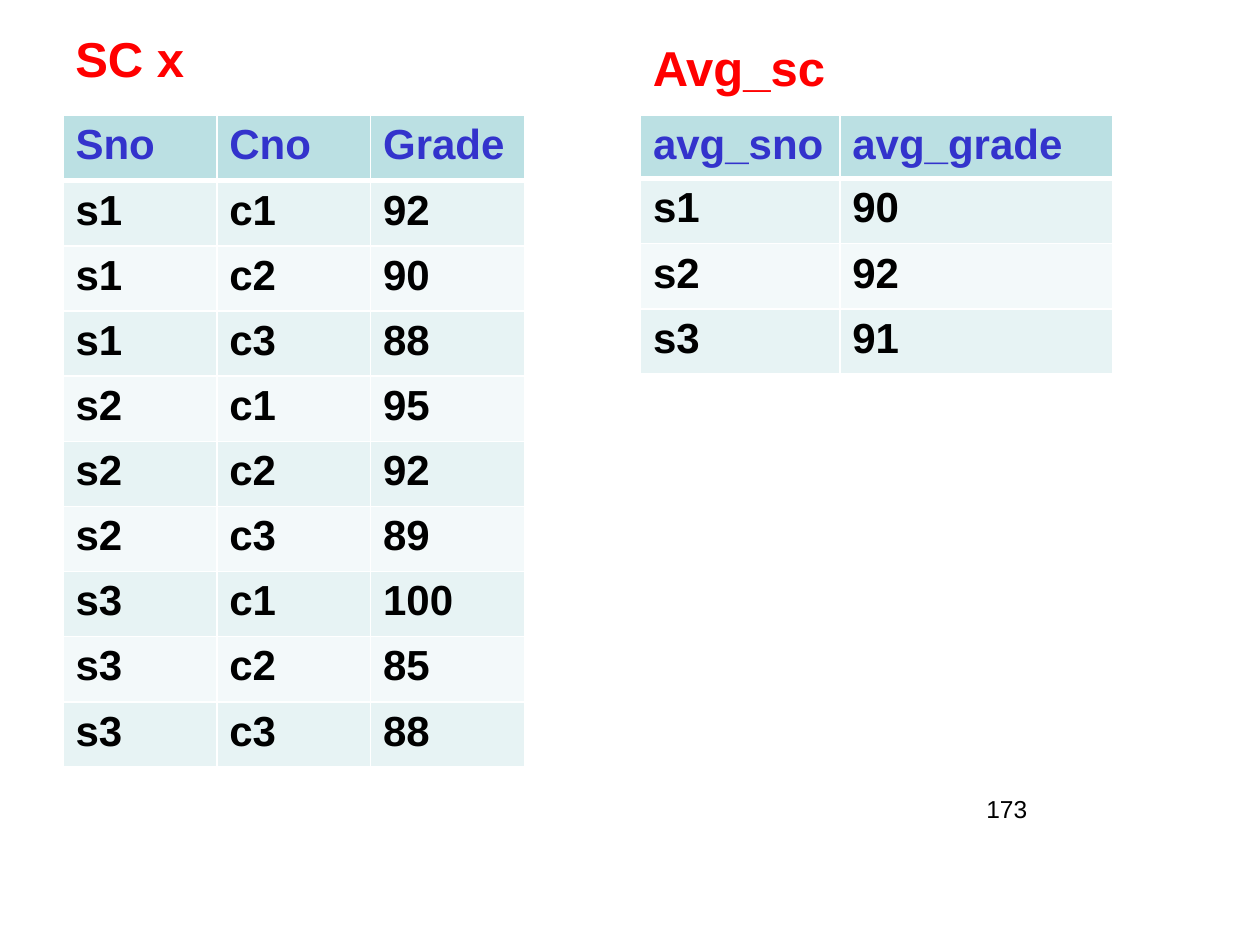
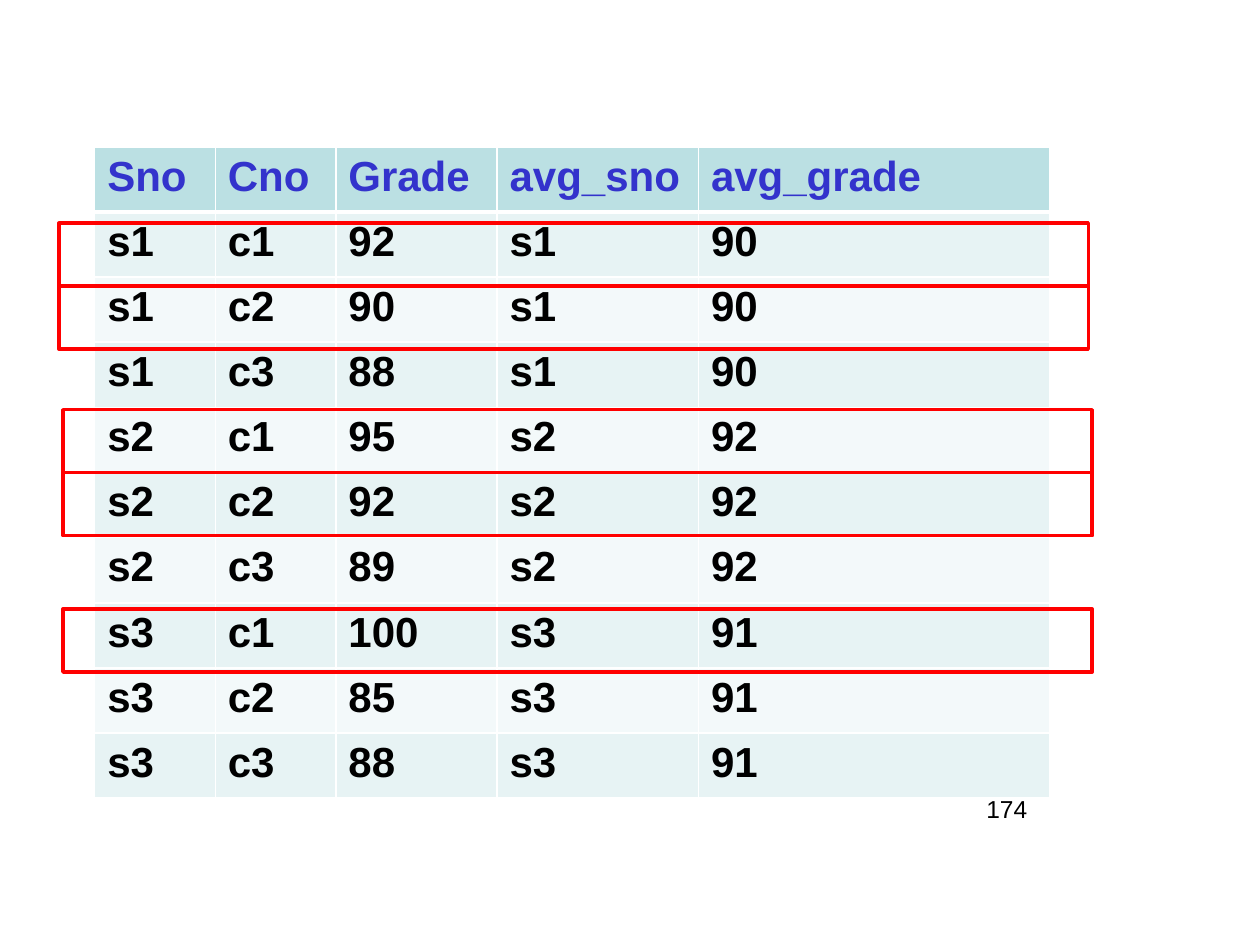
from dataclasses import dataclass
from typing import Any

from lxml.etree import SubElement
from pptx import Presentation
from pptx.dml.color import RGBColor
from pptx.enum.shapes import MSO_SHAPE as ShapeKind
from pptx.enum.text import MSO_AUTO_SIZE as AutoSize, PP_ALIGN as Align
from pptx.oxml.ns import qn
from pptx.util import Cm, Pt

RED, BLUE, BLACK, WHITE = "FF0000", "3333CC", "000000", "FFFFFF"
HEADER_FILL = "BBE0E3"
BAND_FILLS = ("E7F3F4", "F3F9FA")
ROW_HEIGHT = 1.313
FRAME_WIDTH, FRAME_HEIGHT = 20.75, 1.27

HEADING_FORMAT = {"name": "Arial", "size": Pt(28), "bold": True}
CELL_FORMAT = {"name": "Arial", "size": Pt(24), "bold": True}
NUMBER_FORMAT = {"name": "Arial", "size": Pt(14), "bold": False}

GRADES = [
    ("s1", "c1", 92), ("s1", "c2", 90), ("s1", "c3", 88),
    ("s2", "c1", 95), ("s2", "c2", 92), ("s2", "c3", 89),
    ("s3", "c1", 100), ("s3", "c2", 85), ("s3", "c3", 88),
]
AVERAGES = {"s1": 90, "s2": 92, "s3": 91}
GRADE_COLUMNS = ("Sno", "Cno", "Grade")
AVERAGE_COLUMNS = ("avg_sno", "avg_grade")


@dataclass(frozen=True)
class Heading:
    text: str
    left: float
    top: float
    width: float


@dataclass(frozen=True)
class Grid:
    left: float
    top: float
    widths: tuple[float, ...]
    columns: tuple[str, ...]
    records: list[tuple]
    header_height: float = ROW_HEIGHT


@dataclass(frozen=True)
class FrameStack:
    """Red frames of equal size, stacked edge to edge."""
    left: float
    top: float
    count: int


HEADINGS = [
    Heading("SC x", 1.27, 0.45, 3.18),
    Heading("Avg_sc", 12.91, 0.64, 4.66),
]
GRADE_GRID = Grid(1.27, 2.33, (3.1, 3.1, 3.1), GRADE_COLUMNS, GRADES)
AVERAGE_GRID = Grid(12.91, 2.33, (4.02, 5.5), AVERAGE_COLUMNS,
                    list(AVERAGES.items()), header_height=1.27)
JOINED_GRID = Grid(
    1.91, 2.96, (2.43, 2.43, 3.25, 4.06, 7.09), GRADE_COLUMNS + AVERAGE_COLUMNS,
    [(student, course, grade, student, AVERAGES[student])
     for student, course, grade in GRADES],
)
FRAME_STACKS = [
    FrameStack(1.19, 4.5, 2),
    FrameStack(1.27, 8.26, 2),
    FrameStack(1.27, 12.28, 1),
]


def colour(value: str) -> RGBColor:
    return RGBColor.from_string(value)


def write(text_frame: Any, text: str, font_format: dict, text_colour: str,
          alignment: Align = Align.LEFT) -> None:
    paragraph = text_frame.paragraphs[0]
    paragraph.alignment = alignment
    run = paragraph.add_run()
    run.text = text
    for attribute, value in font_format.items():
        setattr(run.font, attribute, value)
    run.font.color.rgb = colour(text_colour)


def add_text_box(slide: Any, left: float, top: float, width: float, height: float) -> Any:
    text_frame = slide.shapes.add_textbox(Cm(left), Cm(top), Cm(width), Cm(height)).text_frame
    text_frame.word_wrap = True
    return text_frame


def add_heading(slide: Any, heading: Heading) -> None:
    text_frame = add_text_box(slide, heading.left, heading.top, heading.width, 1.45)
    text_frame.auto_size = AutoSize.SHAPE_TO_FIT_TEXT
    write(text_frame, heading.text, HEADING_FORMAT, RED)


def add_page_number(slide: Any, number: int) -> None:
    text_frame = add_text_box(slide, 15.03, 15.88, 5.93, 1.31)
    write(text_frame, str(number), NUMBER_FORMAT, BLACK, Align.RIGHT)


def set_borders(cell: Any, top: int, bottom: int) -> None:
    """Draw white borders; top and bottom are widths in points."""
    properties = cell._tc.get_or_add_tcPr()
    for side, width in {"L": 1, "R": 1, "T": top, "B": bottom}.items():
        line = SubElement(properties, qn(f"a:ln{side}"), w=str(Pt(width)))
        SubElement(SubElement(line, qn("a:solidFill")), qn("a:srgbClr"), val=WHITE)


def add_grid(slide: Any, grid: Grid) -> None:
    rows = [grid.columns, *grid.records]
    height = grid.header_height + ROW_HEIGHT * len(grid.records)
    table = slide.shapes.add_table(len(rows), len(grid.columns), Cm(grid.left), Cm(grid.top),
                                   Cm(sum(grid.widths)), Cm(height)).table
    table.first_row = table.horz_banding = False
    for column, width in zip(table.columns, grid.widths):
        column.width = Cm(width)
    for row_index, values in enumerate(rows):
        is_header = row_index == 0
        table.rows[row_index].height = Cm(grid.header_height if is_header else ROW_HEIGHT)
        fill = HEADER_FILL if is_header else BAND_FILLS[(row_index - 1) % 2]
        for column_index, value in enumerate(values):
            cell = table.cell(row_index, column_index)
            set_borders(cell, top=3 if row_index == 1 else 1, bottom=3 if is_header else 1)
            cell.fill.solid()
            cell.fill.fore_color.rgb = colour(fill)
            write(cell.text_frame, str(value), CELL_FORMAT, BLUE if is_header else BLACK)


def add_frames(slide: Any, stack: FrameStack) -> None:
    for index in range(stack.count):
        top = stack.top + index * FRAME_HEIGHT
        frame = slide.shapes.add_shape(ShapeKind.RECTANGLE, Cm(stack.left), Cm(top),
                                       Cm(FRAME_WIDTH), Cm(FRAME_HEIGHT))
        frame.shadow.inherit = False
        frame.fill.background()
        frame.line.color.rgb = colour(RED)
        frame.line.width = Pt(2)


def add_slide(presentation: Any, number: int, grids: list[Grid]) -> Any:
    slide = presentation.slides.add_slide(presentation.slide_layouts[6])
    for grid in grids:
        add_grid(slide, grid)
    add_page_number(slide, number)
    return slide


def main() -> None:
    presentation = Presentation()
    presentation.slide_width, presentation.slide_height = Cm(25.4), Cm(19.05)

    source_slide = add_slide(presentation, 173, [GRADE_GRID, AVERAGE_GRID])
    for heading in HEADINGS:
        add_heading(source_slide, heading)

    joined_slide = add_slide(presentation, 174, [JOINED_GRID])
    for stack in FRAME_STACKS:
        add_frames(joined_slide, stack)

    presentation.save("out.pptx")


if __name__ == "__main__":
    main()
